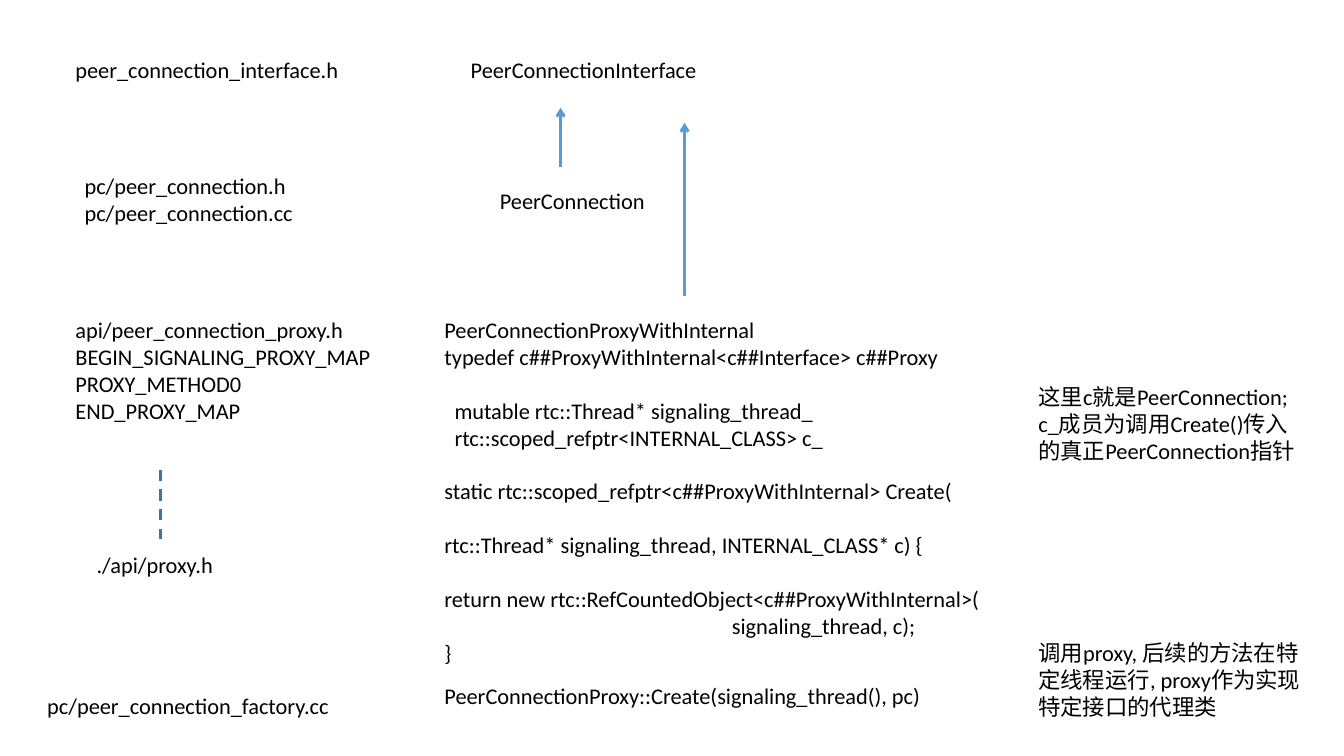
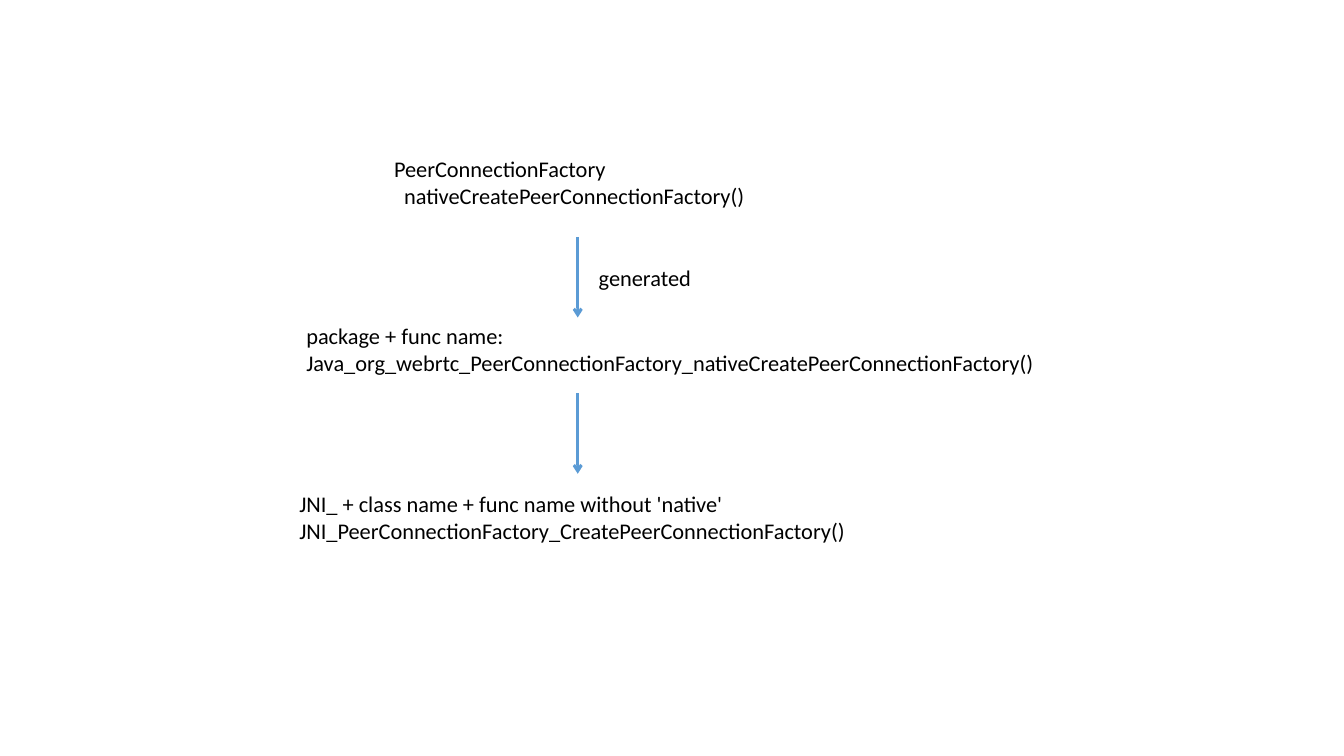
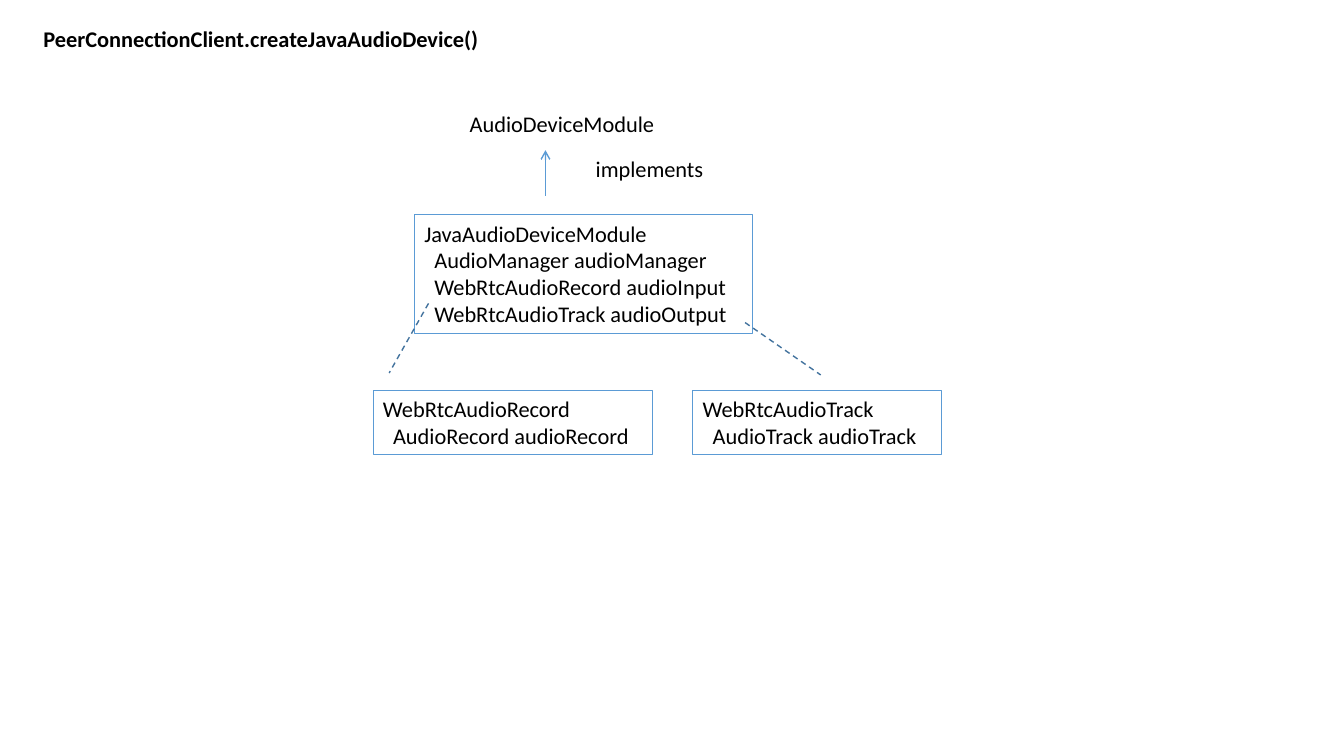
"""Build three slides on peer connection classes, native names and audio devices."""
from dataclasses import dataclass

from lxml import etree
from pptx import Presentation
from pptx.dml.color import RGBColor
from pptx.enum.dml import MSO_LINE
from pptx.enum.shapes import MSO_CONNECTOR, MSO_SHAPE
from pptx.enum.text import MSO_ANCHOR, MSO_AUTO_SIZE, PP_ALIGN
from pptx.oxml.ns import qn
from pptx.util import Inches, Pt

STRAIGHT = MSO_CONNECTOR.STRAIGHT
RECT = MSO_SHAPE.RECTANGLE
DASH = MSO_LINE.DASH
TOP = MSO_ANCHOR.TOP
LEFT = PP_ALIGN.LEFT
FIXED = MSO_AUTO_SIZE.NONE

COLORS = {"text": "000000", "blue": "5B9BD5", "dark": "43739E"}
FONT = "Calibri"
SIZE = 16
ROW = 19.2
TAB = 0.1
TITLE_ONLY, BLANK = 5, 6


@dataclass(frozen=True)
class Row:
    text: str
    indent: float = 0
    skip: int = 0


@dataclass(frozen=True)
class Note:
    x: float
    y: float
    w: float
    rows: tuple
    h: float = 0.37
    framed: bool = False


@dataclass(frozen=True)
class Link:
    x1: float
    y1: float
    x2: float
    y2: float
    width: float = 2
    dashed: bool = False


def sub(text: str, skip: int = 0) -> Row:
    return Row(text, TAB, skip)


def color(name: str) -> RGBColor:
    return RGBColor.from_string(COLORS[name])


def write(frame, rows: tuple, *, bold: bool = False, size: float = SIZE, ink: str = "text") -> None:
    frame.word_wrap = True
    frame.auto_size = FIXED
    frame.vertical_anchor = TOP
    for i, row in enumerate(rows):
        para = frame.add_paragraph() if i else frame.paragraphs[0]
        para.alignment = LEFT
        para.space_before = Pt(row.skip * ROW)
        if row.indent:
            para._p.get_or_add_pPr().set("marL", str(Inches(row.indent)))
        run = para.add_run()
        run.text = row.text
        run.font.name = FONT
        run.font.size = Pt(size)
        run.font.bold = bold
        run.font.color.rgb = color(ink)


def add_note(slide, note: Note) -> None:
    area = [Inches(v) for v in (note.x, note.y, note.w, note.h)]
    if note.framed:
        shape = slide.shapes.add_shape(RECT, *area)
        shape.shadow.inherit = False
        shape.fill.background()
        shape.line.color.rgb = color("blue")
        shape.line.width = Pt(0.75)
    else:
        shape = slide.shapes.add_textbox(*area)
    write(shape.text_frame, note.rows)


def add_link(slide, link: Link) -> None:
    ends = [Inches(v) for v in (link.x1, link.y1, link.x2, link.y2)]
    wire = slide.shapes.add_connector(STRAIGHT, *ends)
    wire.line.width = Pt(link.width)
    wire.line.color.rgb = color("dark" if link.dashed else "blue")
    if link.dashed:
        wire.line.dash_style = DASH
    else:
        tail = etree.SubElement(wire.line._get_or_add_ln(), qn("a:tailEnd"))
        tail.set("type", "arrow")
    etree.SubElement(wire._element.spPr, qn("a:effectLst"))


def add_page(deck, notes: tuple, links: tuple, title: str = "") -> None:
    slide = deck.slides.add_slide(deck.slide_layouts[TITLE_ONLY if title else BLANK])
    if title:
        head = slide.shapes.title
        head.left, head.top = Inches(0.33), Inches(0.2)
        head.width, head.height = Inches(4.56), Inches(0.37)
        write(head.text_frame, (Row(title),), bold=True)
    for note in notes:
        add_note(slide, note)
    for link in links:
        add_link(slide, link)


PROXY_NOTES = (
    Note(0.65, 0.51, 2.87, (Row("peer_connection_interface.h"),)),
    Note(4.57, 0.51, 2.78, (Row("PeerConnectionInterface"),)),
    Note(0.74, 1.66, 2.58, (Row("pc/peer_connection.h"), Row("pc/peer_connection.cc")), 0.64),
    Note(4.86, 1.81, 1.74, (Row("PeerConnection"),)),
    Note(0.65, 3.09, 3.52, (
        Row("api/peer_connection_proxy.h"),
        Row("BEGIN_SIGNALING_PROXY_MAP"),
        Row("PROXY_METHOD0"),
        Row("END_PROXY_MAP"),
    ), 1.18),
    Note(0.86, 5.42, 1.8, (Row("./api/proxy.h"),)),
    Note(4.31, 3.09, 5.63, (
        Row("PeerConnectionProxyWithInternal"),
        Row("typedef c##ProxyWithInternal<c##Interface> c##Proxy"),
        sub("mutable rtc::Thread* signaling_thread_", 1),
        sub("rtc::scoped_refptr<INTERNAL_CLASS> c_"),
        Row("static rtc::scoped_refptr<c##ProxyWithInternal> Create(", skip=1),
        Row("rtc::Thread* signaling_thread, INTERNAL_CLASS* c) {", skip=1),
        Row("return new rtc::RefCountedObject<c##ProxyWithInternal>(", skip=1),
        Row("signaling_thread, c);", indent=2.85),
        Row("}"),
    ), 3.06),
    Note(10.2, 3.75, 2.81, (
        Row("这里c就是PeerConnection;"),
        Row("c_成员为调用Create()传入的真正PeerConnection指针"),
    ), 0.91),
    Note(0.37, 6.82, 3.15, (Row("pc/peer_connection_factory.cc"),)),
    Note(4.31, 6.72, 4.98, (Row("PeerConnectionProxy::Create(signaling_thread(), pc)"),)),
    Note(10.2, 6.29, 2.81, (
        Row("调用proxy, 后续的方法在特定线程运行, proxy作为实现特定接口的代理类"),
    ), 0.91),
)
PROXY_LINKS = (
    Link(5.56, 1.66, 5.56, 1.07),
    Link(6.79, 2.94, 6.79, 1.22),
    Link(1.59, 4.66, 1.59, 5.35, dashed=True),
)

NATIVE_NOTES = (
    Note(3.81, 1.49, 3.83, (
        Row("PeerConnectionFactory"),
        sub("nativeCreatePeerConnectionFactory()"),
    ), 0.64),
    Note(2.94, 3.15, 7.5, (
        Row("package + func name:"),
        Row("Java_org_webrtc_PeerConnectionFactory_nativeCreatePeerConnectionFactory()"),
    ), 0.64),
    Note(5.84, 2.57, 1.23, (Row("generated"),)),
    Note(2.87, 4.81, 5.89, (
        Row("JNI_ + class name + func name without 'native'"),
        Row("JNI_PeerConnectionFactory_CreatePeerConnectionFactory()"),
    ), 0.64),
)
NATIVE_LINKS = tuple(Link(5.73, y, 5.73, y + 0.8) for y in (2.35, 3.9))

AUDIO_NOTES = (
    Note(4.11, 2.13, 3.35, (
        Row("JavaAudioDeviceModule"),
        sub("AudioManager audioManager"),
        sub("WebRtcAudioRecord audioInput"),
        sub("WebRtcAudioTrack audioOutput"),
    ), 1.18, framed=True),
    Note(4.56, 1.04, 2.11, (Row("AudioDeviceModule"),)),
    Note(5.81, 1.49, 1.44, (Row("implements"),)),
    Note(3.7, 3.87, 2.77, (
        Row("WebRtcAudioRecord"),
        sub("AudioRecord audioRecord"),
    ), 0.64, framed=True),
    Note(6.87, 3.87, 2.47, (
        Row("WebRtcAudioTrack"),
        sub("AudioTrack audioTrack"),
    ), 0.64, framed=True),
)
AUDIO_LINKS = (
    Link(5.41, 1.94, 5.41, 1.49, width=1),
    Link(4.25, 3.01, 3.86, 3.7, width=1, dashed=True),
    Link(7.39, 3.2, 8.14, 3.72, width=1, dashed=True),
)


def main() -> None:
    deck = Presentation()
    deck.slide_width, deck.slide_height = Inches(13.33), Inches(7.5)
    add_page(deck, PROXY_NOTES, PROXY_LINKS)
    add_page(deck, NATIVE_NOTES, NATIVE_LINKS)
    add_page(deck, AUDIO_NOTES, AUDIO_LINKS, "PeerConnectionClient.createJavaAudioDevice()")
    deck.save("out.pptx")


if __name__ == "__main__":
    main()
